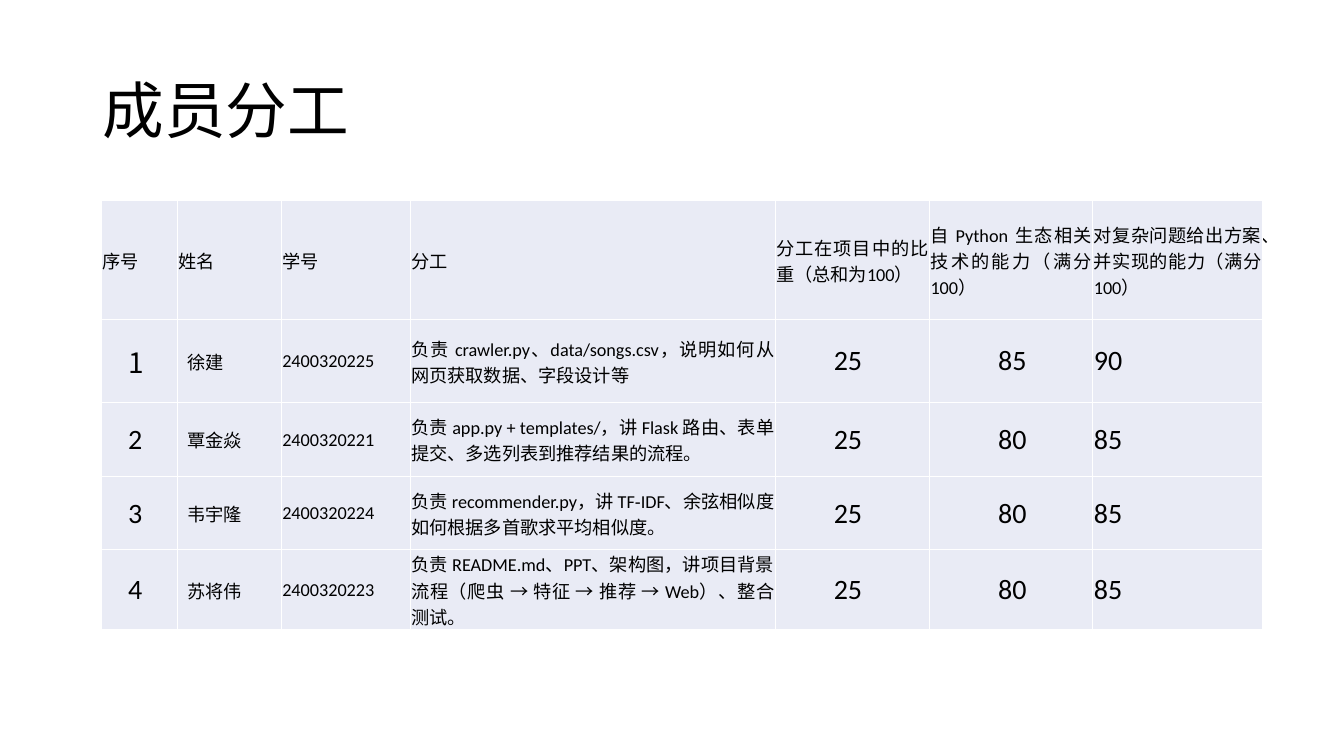
import pptx
import pptx.util
import pptx.dml.color
import pptx.enum.text
import pptx.oxml
import pptx.oxml.ns
from pptx.util import Inches

TITLE = "成员分工"
HEADERS = [
    "序号", "姓名", "学号", "分工", "分工在项目中的比重（总和为100）",
    "自 Python 生态相关技术的能力（满分100）",
    "对复杂问题给出方案、并实现的能力（满分100）",
]
MEMBERS = [
    ["1", "徐建", "2400320225",
     "负责 crawler.py、data/songs.csv，说明如何从网页获取数据、字段设计等", "25", "85", "90"],
    ["2", "覃金焱", "2400320221",
     "负责 app.py + templates/，讲 Flask 路由、表单提交、多选列表到推荐结果的流程。",
     "25", "80", "85"],
    ["3", "韦宇隆", "2400320224",
     "负责 recommender.py，讲 TF‑IDF、余弦相似度，如何根据多首歌求平均相似度。",
     "25", "80", "85"],
    ["4", "苏将伟", "2400320223",
     "负责 README.md、PPT、架构图，讲项目背景、流程（爬虫 → 特征 → 推荐 → Web）、整合测试。",
     "25", "80", "85"],
]
COLUMN_WIDTHS = [0.75, 1.03, 1.28, 3.62, 1.53, 1.62, 1.68]
ROW_HEIGHTS = [1.18, 0.82, 0.74, 0.72, 0.8]
MEMBER_INDENTS = [0.25, 0.09, 0, 0, 0.57, 0.67, 0]
LARGE_COLUMNS = {0, 4, 5, 6}
THEME = {
    "font": "Calibri", "east_asian": "Noto Sans CJK SC",
    "text": "000000", "cell": "E9EBF5", "border": "FFFFFF",
    "title_size": 44, "body_size": 13, "number_size": 20, "border_width": 1,
}


def style_text(para, size, font=THEME["font"]):
    for span in para.runs:
        span.font.size = pptx.util.Pt(size)
        span.font.name = font
        span.font.color.rgb = pptx.dml.color.RGBColor.from_string(THEME["text"])
        east_asian = pptx.oxml.parse_xml(
            f'<a:ea {pptx.oxml.ns.nsdecls("a")} typeface="{THEME["east_asian"]}"/>')
        span.font._element.find(pptx.oxml.ns.qn("a:latin")).addnext(east_asian)


def add_borders(cell):
    width = pptx.util.Pt(THEME["border_width"])
    properties = cell._tc.get_or_add_tcPr()
    for position, side in enumerate(("lnL", "lnR", "lnT", "lnB")):
        properties.insert(position, pptx.oxml.parse_xml(
            f'<a:{side} {pptx.oxml.ns.nsdecls("a")} w="{width}"><a:solidFill>'
            f'<a:srgbClr val="{THEME["border"]}"/></a:solidFill></a:{side}>'))


def fill_cell(cell, text, size, font, indent):
    cell.fill.solid()
    cell.fill.fore_color.rgb = pptx.dml.color.RGBColor.from_string(THEME["cell"])
    add_borders(cell)
    cell.margin_left = Inches(0.01 + indent)
    cell.margin_right = cell.margin_top = Inches(0.01)
    cell.margin_bottom = 0
    cell.vertical_anchor = pptx.enum.text.MSO_ANCHOR.MIDDLE
    cell.text_frame.text = text
    para = cell.text_frame.paragraphs[0]
    para.alignment = pptx.enum.text.PP_ALIGN.JUSTIFY
    style_text(para, size, font)


def add_title(page):
    box = page.shapes.add_textbox(Inches(0.92), Inches(0.4), Inches(11.5), Inches(1.45))
    frame = box.text_frame
    frame.word_wrap = True
    frame.vertical_anchor = pptx.enum.text.MSO_ANCHOR.MIDDLE
    frame.text = TITLE
    frame.paragraphs[0].line_spacing = 0.9
    style_text(frame.paragraphs[0], THEME["title_size"])


def add_member_table(page):
    rows = [HEADERS] + MEMBERS
    table = page.shapes.add_table(
        len(rows), len(HEADERS), Inches(1.01), Inches(1.99),
        Inches(sum(COLUMN_WIDTHS)), Inches(sum(ROW_HEIGHTS))).table
    table.first_row = table.horz_banding = False
    for column, width in zip(table.columns, COLUMN_WIDTHS):
        column.width = Inches(width)
    for row, height in zip(table.rows, ROW_HEIGHTS):
        row.height = Inches(height)
    for r, values in enumerate(rows):
        for c, text in enumerate(values):
            large = r > 0 and c in LARGE_COLUMNS
            size = THEME["number_size"] if large else THEME["body_size"]
            font = THEME["east_asian"] if (r, c) == (1, 0) else THEME["font"]
            indent = MEMBER_INDENTS[c] if r > 0 else 0
            fill_cell(table.cell(r, c), text, size, font, indent)


def main():
    deck = pptx.Presentation()
    deck.slide_width, deck.slide_height = Inches(13.33), Inches(7.5)
    page = deck.slides.add_slide(deck.slide_layouts[6])
    add_title(page)
    add_member_table(page)
    deck.save("out.pptx")


if __name__ == "__main__":
    main()
